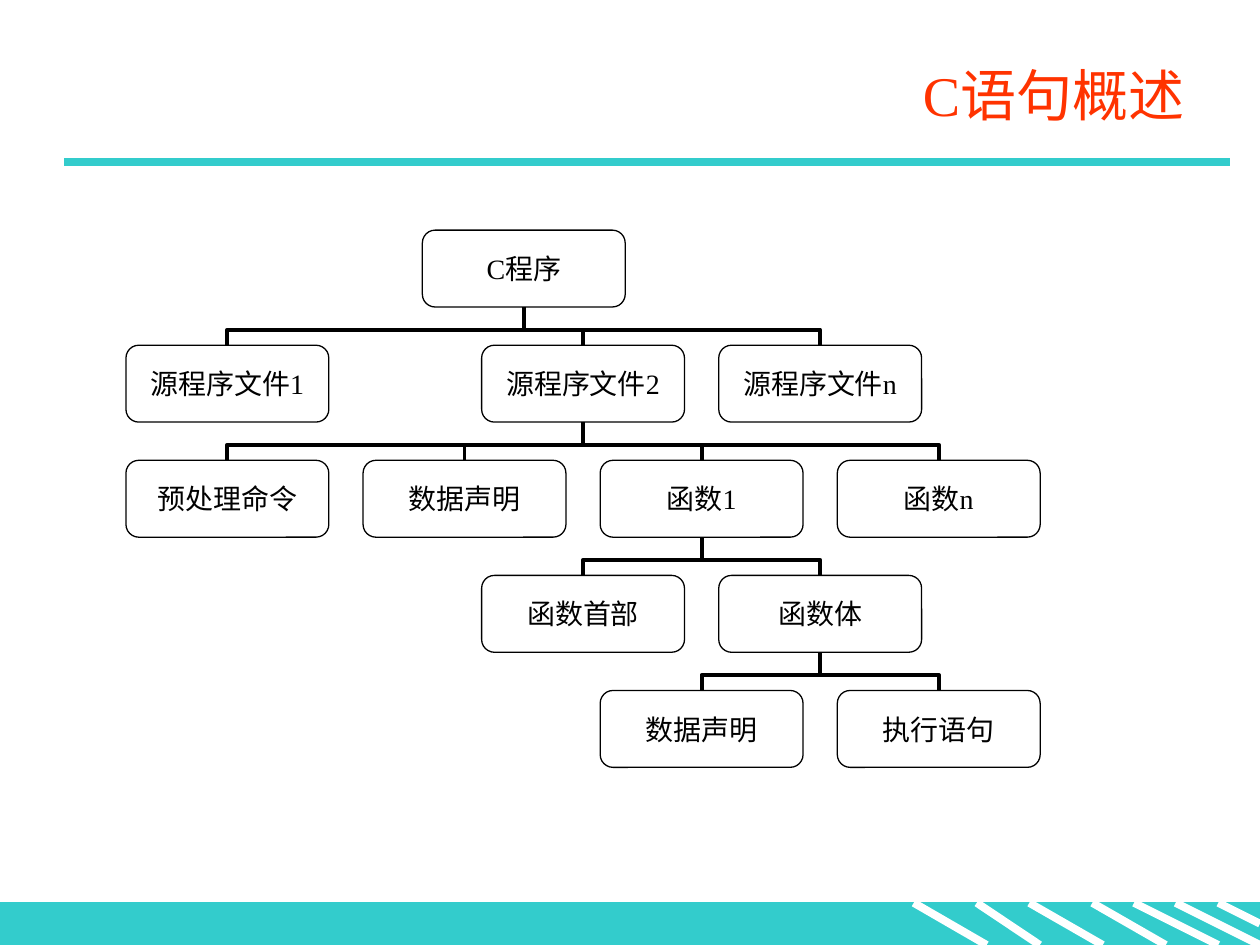
from lxml.etree import SubElement
from pptx import Presentation
from pptx.dml.color import RGBColor
from pptx.enum.shapes import MSO_CONNECTOR, MSO_SHAPE
from pptx.enum.text import MSO_ANCHOR, PP_ALIGN
from pptx.oxml.ns import qn
from pptx.util import Cm, Pt

COLOURS = {"band": "33CCCC", "title": "FF3300", "ink": "000000", "stripe": "FFFFFF"}
FONT = "Times New Roman"
LEFT, TOP = 2.54, 4.64
COLUMN_STEP, ROW_STEP = 4.78, 2.32
BOX_WIDTH, BOX_HEIGHT = 4.09, 1.55

# name: (text, column, row, parent)
NODES = {
    "program": ("C程序", 1.25, 0, None),
    "file 1": ("源程序文件1", 0, 1, "program"),
    "file 2": ("源程序文件2", 1.5, 1, "program"),
    "file n": ("源程序文件n", 2.5, 1, "program"),
    "preprocessing": ("预处理命令", 0, 2, "file 2"),
    "file data": ("数据声明", 1, 2, "file 2"),
    "function 1": ("函数1", 2, 2, "file 2"),
    "function n": ("函数n", 3, 2, "file 2"),
    "function head": ("函数首部", 1.5, 3, "function 1"),
    "function body": ("函数体", 2.5, 3, "function 1"),
    "body data": ("数据声明", 2, 4, "function body"),
    "statements": ("执行语句", 3, 4, "function body"),
}

# Start and end x of each footer stripe, and its end y
STRIPES = [
    (18.42, 19.89, 19.05), (19.69, 20.96, 19.05), (20.75, 22.23, 19.05),
    (22.02, 23.5, 19.05), (22.86, 24.56, 19.05), (23.7, 25.4, 19.05),
    (24.56, 25.4, 18.62),
]


def colour(name):
    return RGBColor.from_string(COLOURS[name])


class Painter:
    """Holds the page and the style shared by its elements."""

    def __init__(self, page):
        self.page = page

    def add_text(self, shape, text, size, ink, align):
        frame = shape.text_frame
        frame.vertical_anchor = MSO_ANCHOR.MIDDLE
        paragraph = frame.paragraphs[0]
        paragraph.alignment = align
        span = paragraph.add_run()
        span.text = text
        span.font.size = Pt(size)
        span.font.name = FONT
        span.font.color.rgb = colour(ink)

    def title(self, text, left, top, width, height):
        box = self.page.shapes.add_textbox(Cm(left), Cm(top), Cm(width), Cm(height))
        box.text_frame.word_wrap = True
        self.add_text(box, text, 32, "title", PP_ALIGN.RIGHT)

    def band(self, left, top, width, height):
        band = self.page.shapes.add_shape(
            MSO_SHAPE.RECTANGLE, Cm(left), Cm(top), Cm(width), Cm(height))
        band.shadow.inherit = False
        band.fill.solid()
        band.fill.fore_color.rgb = colour("band")
        band.line.color.rgb = colour("band")
        band.line.width = Pt(0.75)

    def node(self, text, column, row):
        box = self.page.shapes.add_shape(
            MSO_SHAPE.ROUNDED_RECTANGLE,
            Cm(LEFT + column * COLUMN_STEP), Cm(TOP + row * ROW_STEP),
            Cm(BOX_WIDTH), Cm(BOX_HEIGHT))
        box.shadow.inherit = False
        box.fill.background()
        box.line.color.rgb = colour("ink")
        box.line.width = Pt(0.75)
        frame = box.text_frame
        frame.margin_left = frame.margin_right = 0
        frame.margin_top = frame.margin_bottom = 0
        frame.word_wrap = False
        self.add_text(box, text, 16, "ink", PP_ALIGN.CENTER)
        return box

    def style_line(self, line, ink, width):
        line.line.color.rgb = colour(ink)
        line.line.width = Pt(width)
        SubElement(line._element.spPr, qn("a:effectLst"))

    def line(self, start_x, start_y, end_x, end_y, ink):
        line = self.page.shapes.add_connector(
            MSO_CONNECTOR.STRAIGHT, Cm(start_x), Cm(start_y), Cm(end_x), Cm(end_y))
        self.style_line(line, ink, 4.5)

    def branch(self, child, parent):
        """Join a child's top to its parent's bottom, leaving both vertically."""
        elbow = self.page.shapes.add_connector(MSO_CONNECTOR.ELBOW, 0, 0, 0, 0)
        elbow.begin_connect(child, 0)
        elbow.end_connect(parent, 2)
        self.style_line(elbow, "ink", 2.25)

        # An elbow leaves sideways by default, so it is turned by a quarter.
        start_x, end_x = elbow.begin_x, elbow.end_x
        start_y, end_y = elbow.begin_y, elbow.end_y
        span, rise = abs(start_x - end_x), start_y - end_y
        elbow.left = (start_x + end_x - rise) // 2
        elbow.top = (start_y + end_y - span) // 2
        elbow.width, elbow.height = rise, span
        properties = elbow._element.spPr
        turn = properties.find(qn("a:xfrm"))
        for flip in ("flipH", "flipV"):
            turn.attrib.pop(flip, None)
        if start_x > end_x:
            turn.set("rot", "5400000")
            turn.set("flipH", "1")
        else:
            turn.set("rot", "16200000")
        adjustments = properties.find(qn("a:prstGeom")).find(qn("a:avLst"))
        SubElement(adjustments, qn("a:gd"), name="adj1", fmla="val 41100")


def main():
    deck = Presentation()
    deck.slide_width, deck.slide_height = Cm(25.4), Cm(19.05)
    painter = Painter(deck.slides.add_slide(deck.slide_layouts[6]))

    painter.band(0, 18.2, 25.4, 0.85)
    for start_x, end_x, end_y in STRIPES:
        painter.line(start_x, 18.2, end_x, end_y, "stripe")
    painter.line(1.3, 3.27, 24.79, 3.27, "band")
    painter.title("C语句概述", 8.71, 0.76, 15.42, 2.29)

    boxes = {}
    for name, (text, column, row, parent) in NODES.items():
        boxes[name] = painter.node(text, column, row)
        if parent:
            painter.branch(boxes[name], boxes[parent])

    deck.save("out.pptx")


if __name__ == "__main__":
    main()
